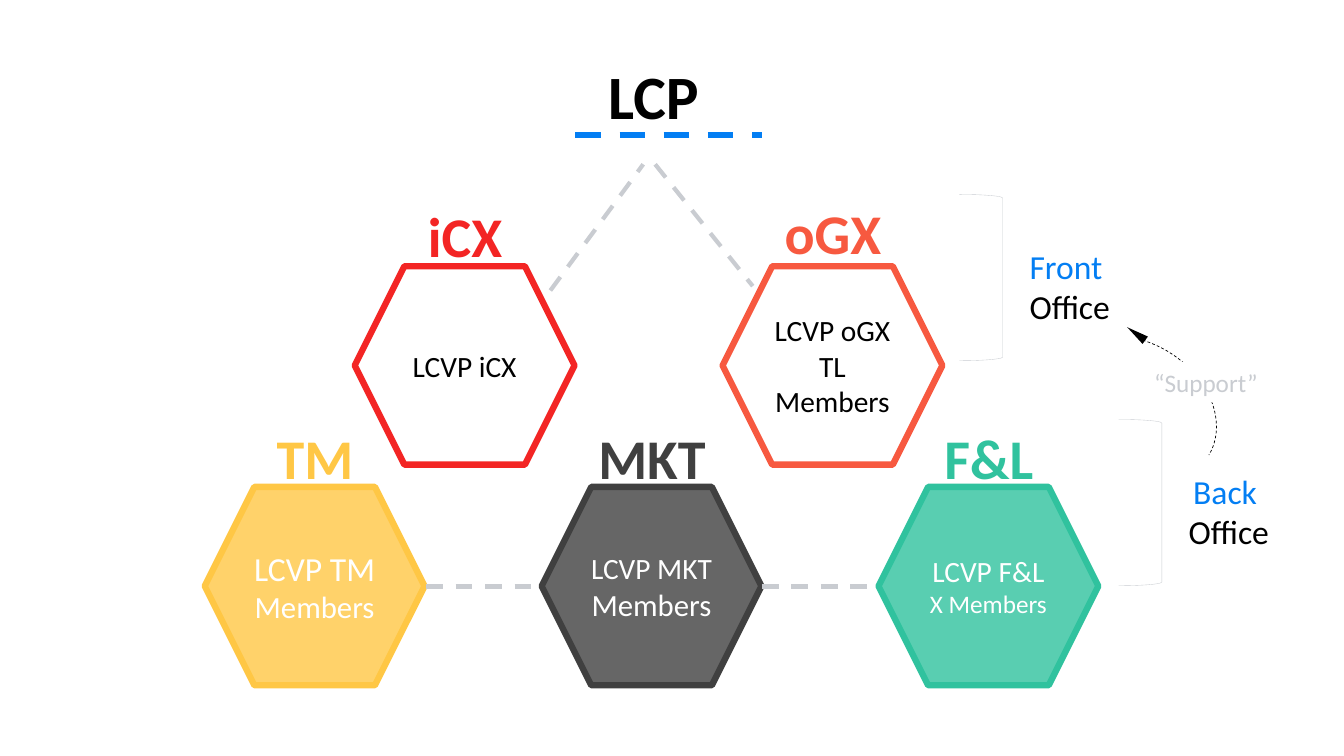
from lxml.etree import SubElement
from pptx import Presentation
from pptx.dml.color import RGBColor
from pptx.enum.dml import MSO_LINE
from pptx.enum.shapes import MSO_CONNECTOR, MSO_SHAPE
from pptx.enum.text import MSO_ANCHOR, MSO_AUTO_SIZE, PP_ALIGN
from pptx.oxml.ns import qn
from pptx.util import Cm, Pt

BLACK = RGBColor(0x00, 0x00, 0x00)
WHITE = RGBColor(0xFF, 0xFF, 0xFF)
BLUE = RGBColor(0x03, 0x7E, 0xF3)
GREY = RGBColor(0xC9, 0xCC, 0xD1)
RED = RGBColor(0xF3, 0x25, 0x24)
ORANGE = RGBColor(0xF7, 0x59, 0x40)
YELLOW = RGBColor(0xFF, 0xC7, 0x45)
DARK = RGBColor(0x40, 0x40, 0x40)
GREEN = RGBColor(0x30, 0xC2, 0x9E)


def write(sp, lines, anchor=MSO_ANCHOR.TOP, grow=True, wrap=True):
    tf = sp.text_frame
    tf.word_wrap = wrap
    tf.vertical_anchor = anchor
    tf.auto_size = MSO_AUTO_SIZE.SHAPE_TO_FIT_TEXT if grow else MSO_AUTO_SIZE.NONE
    for i, (text, size, color, bold) in enumerate(lines):
        p = tf.add_paragraph() if i else tf.paragraphs[0]
        p.alignment = PP_ALIGN.CENTER
        r = p.add_run()
        r.text = text
        for name, value in {"name": "Calibri", "size": Pt(size), "bold": bold}.items():
            setattr(r.font, name, value)
        r.font.color.rgb = color


def add_shape(kind, box, fill=None, line=None, width=0):
    sp = s.shapes.add_shape(kind, *map(Cm, box))
    sp.shadow.inherit = False
    if fill is None:
        sp.fill.background()
    else:
        sp.fill.solid()
        sp.fill.fore_color.rgb = fill
    if line is None:
        sp.line.fill.background()
    else:
        sp.line.color.rgb = line
        sp.line.width = Pt(width)
    return sp


prs = Presentation()
prs.slide_width, prs.slide_height = Cm(33.87), Cm(19.05)
s = prs.slides.add_slide(prs.slide_layouts[5])

title = s.shapes.title
frame = {"left": 14.12, "top": 1.32, "width": 4.7, "height": 2.13}
for name, value in frame.items():
    setattr(title, name, Cm(value))
write(title, [("LCP", 44, BLACK, True)])

row, step = 5.16, 8.49
teams = [
    ("iCX", 8.94, 6.71, 4.95, RED, False, [("LCVP iCX", 21)]),
    ("oGX", 18.21, 6.71, 4.88, ORANGE, False,
     [("LCVP oGX", 21), ("TL", 21), ("Members", 21)]),
    ("TM", row, 12.27, 10.54, YELLOW, True, [("LCVP TM", 24), ("Members", 22)]),
    ("MKT", row + step, 12.27, 10.54, DARK, True, [("LCVP MKT", 21), ("Members", 22)]),
    ("F&L", row + 2 * step, 12.27, 10.54, GREEN, True, [("LCVP F&L", 21), ("X Members", 18)]),
]
for name, x, y, label_y, color, filled, lines in teams:
    sp = add_shape(MSO_SHAPE.HEXAGON, (x, y, 5.54, 5), color if filled else None, color, 4.5)
    if filled:
        rgb = sp.fill._xPr.find(qn("a:solidFill"))[0]
        SubElement(rgb, qn("a:alpha")).set("val", "80000")
    text_color = WHITE if filled else BLACK
    write(sp, [(text, size, text_color, False) for text, size in lines],
          MSO_ANCHOR.MIDDLE, grow=False)
    label = s.shapes.add_textbox(Cm(x + 0.43), Cm(label_y), Cm(4.7), Cm(1.96))
    write(label, [(name, 40, color, True)])

dashes = [
    (14.5, 3.4, 19.2, 3.4, BLUE, 4.5),
    (13.87, 7.32, 16.21, 4.14, GREY, 3),
    (16.51, 4.14, 18.97, 7.21, GREY, 3),
    (10.74, 14.78, 13.64, 14.78, GREY, 3),
    (19.2, 14.78, 22.1, 14.78, GREY, 3),
]
for *ends, color, width in dashes:
    cn = s.shapes.add_connector(MSO_CONNECTOR.STRAIGHT, *map(Cm, ends))
    cn.line.color.rgb = color
    cn.line.width = Pt(width)
    cn.line.dash_style = MSO_LINE.DASH
    SubElement(cn._element.spPr, qn("a:effectLst"))

for word, x, y in [("Front ", 24.18, 4.9), ("Back ", 28.19, 10.57)]:
    add_shape(MSO_SHAPE.RIGHT_BRACKET, (x, y, 1.09, 4.19), None, GREY, 0.25)
    tb = s.shapes.add_textbox(Cm(x + 0.66), Cm(y + 1.16), Cm(4.24), Cm(2.31))
    write(tb, [(word, 24, BLUE, False), ("Office", 24, BLACK, False)])

arc = add_shape(MSO_SHAPE.ARC, (26.31, 8.61, 4.47, 3.43), None, BLACK, 0.5)
arc.adjustments[0] = 148.537
arc.adjustments[1] = 0
arc.rotation = 30.7
arc.line.dash_style = MSO_LINE.DASH

tip = add_shape(MSO_SHAPE.FLOWCHART_EXTRACT, (28.52, 8.13, 0.23, 0.56), BLACK)
tip.rotation = 305.9

support = add_shape(MSO_SHAPE.RECTANGLE, (28.7, 9.12, 3.38, 1.02), WHITE)
write(support, [("“Support”", 18, GREY, False)], wrap=False)

prs.save("out.pptx")
